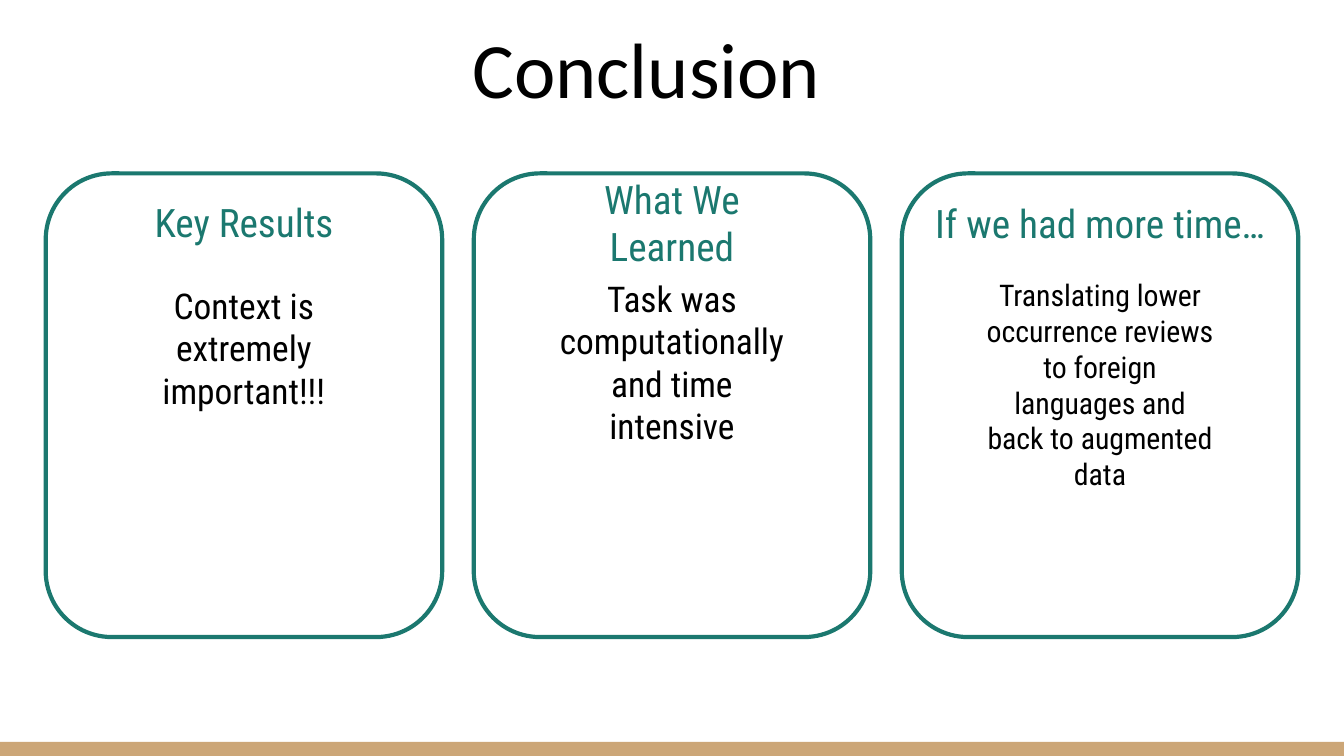
from pptx import Presentation
from pptx.dml.color import RGBColor
from pptx.enum.shapes import MSO_SHAPE as Shape
from pptx.enum.text import MSO_ANCHOR as Anchor, PP_ALIGN as Align
from pptx.util import Pt

PX = 4572
WIDTH, HEIGHT = 2000, 1125
INSET = 20
BAND_HEIGHT = 21
TEAL = RGBColor(0x1B, 0x78, 0x6F)
TAN = RGBColor(0xCC, 0xA6, 0x77)
BLACK = RGBColor(0, 0, 0)
WHITE = RGBColor(255, 255, 255)
FONT = "Roboto Condensed"

CARD_LEFT, CARD_TOP, CARD_WIDTH, CARD_HEIGHT = 68, 258, 590, 690
CARD_STEP = 637
BODY_WIDTH = 380
CARDS = [
    {"heading": "Key Results", "heading_box": (34, 394, 76),
     "body": "Context is extremely important!!!", "body_box": (144, 342), "size": 19},
    {"heading": "What We Learned", "heading_box": (35, 428, 76),
     "body": "Task was computationally and time intensive",
     "body_box": (134, 342), "size": 19},
    {"heading": "If we had more time…", "heading_box": (18, 558, 110),
     "body": "Translating lower occurrence reviews to foreign languages "
             "and back to augmented data",
     "body_box": (134, 298), "size": 16},
]


def emu(*lengths):
    return [length * PX for length in lengths]


def set_text(shape, text, anchor, size, color, name):
    frame = shape.text_frame
    inset = INSET * PX
    frame_format = {"word_wrap": True, "vertical_anchor": anchor,
                    "margin_left": inset, "margin_right": inset,
                    "margin_top": inset, "margin_bottom": inset}
    for key, value in frame_format.items():
        setattr(frame, key, value)
    paragraph = frame.paragraphs[0]
    paragraph.alignment = Align.CENTER
    run = paragraph.add_run()
    run.text = text
    for key, value in {"name": name, "size": Pt(size), "bold": False}.items():
        setattr(run.font, key, value)
    run.font.color.rgb = color


def add_footer_band(slide, left, top, width, height):
    band = slide.shapes.add_shape(Shape.RECTANGLE, *emu(left, top, width, height))
    band.shadow.inherit = False
    band.fill.solid()
    band.fill.fore_color.rgb = TAN
    band.line.fill.background()


def place_title(slide, left, top, width, height):
    title = slide.shapes.title
    box = zip(("left", "top", "width", "height"), emu(left, top, width, height))
    for key, value in box:
        setattr(title, key, value)
    set_text(title, "Conclusion", Anchor.BOTTOM, 42, BLACK, "Calibri")


def add_card(slide, card, left, top, width, height):
    outline = slide.shapes.add_shape(
        Shape.ROUNDED_RECTANGLE, *emu(left, top, width, height))
    outline.shadow.inherit = False
    outline.fill.background()
    outline.line.color.rgb = TEAL
    outline.line.width = Pt(2.25)

    def add_centered_text(offset, box_width, box_height, *text_format):
        box_left = left + (width - box_width) // 2
        box = slide.shapes.add_textbox(
            *emu(box_left, top + offset, box_width, box_height))
        set_text(box, *text_format, FONT)

    add_centered_text(*card["heading_box"], card["heading"], Anchor.MIDDLE, 21, TEAL)
    offset, body_height = card["body_box"]
    add_centered_text(offset, BODY_WIDTH, body_height,
                      card["body"], Anchor.TOP, card["size"], BLACK)


def main():
    presentation = Presentation()
    presentation.slide_width, presentation.slide_height = emu(WIDTH, HEIGHT)
    slide = presentation.slides.add_slide(presentation.slide_layouts[5])
    slide.background.fill.solid()
    slide.background.fill.fore_color.rgb = WHITE
    add_footer_band(slide, 0, HEIGHT - BAND_HEIGHT, WIDTH, BAND_HEIGHT)
    place_title(slide, 30, 8, 1864, 182)
    for index, card in enumerate(CARDS):
        add_card(slide, card, CARD_LEFT + index * CARD_STEP,
                 CARD_TOP, CARD_WIDTH, CARD_HEIGHT)
    presentation.save("out.pptx")


if __name__ == "__main__":
    main()
